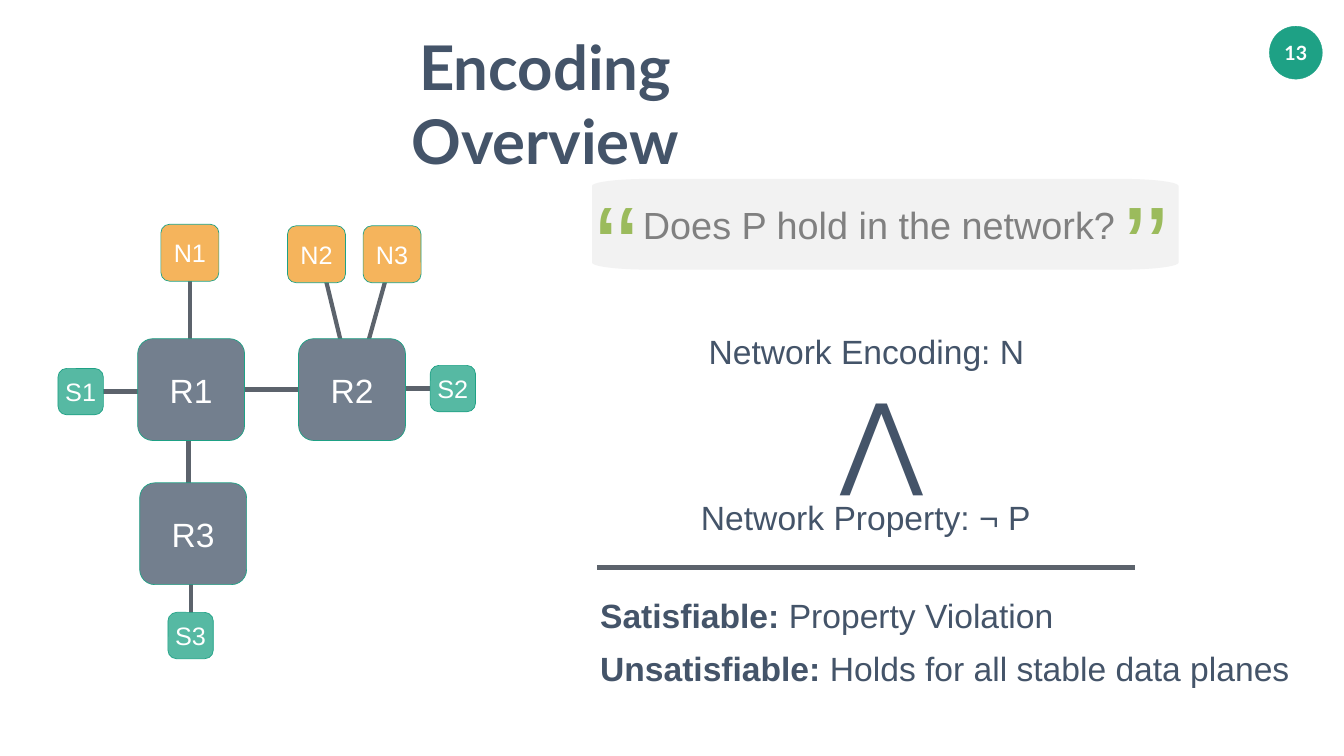
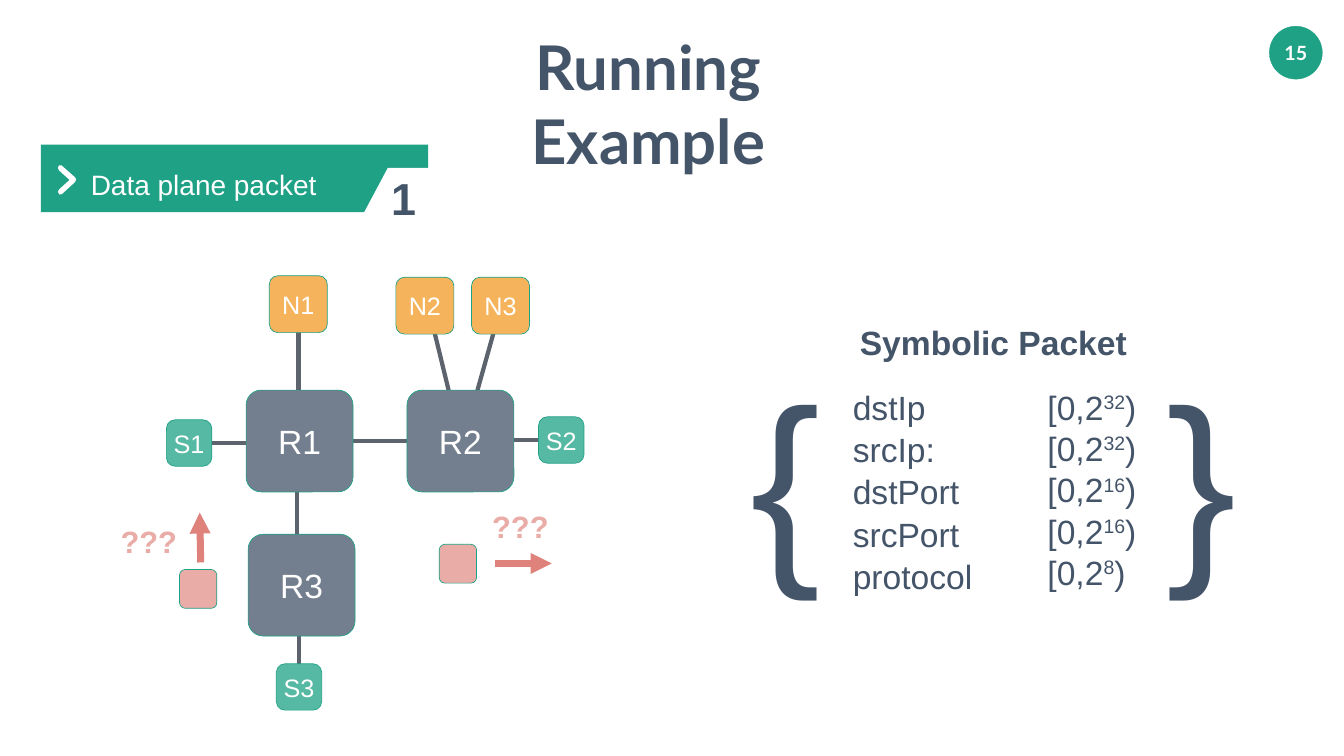
import math

from lxml import etree
from pptx import Presentation
from pptx.dml.color import RGBColor
from pptx.enum import shapes, text
from pptx.oxml import ns
from pptx.util import Inches, Pt

GREEN = RGBColor(0x1E, 0xA1, 0x85)
TEAL = RGBColor(0x56, 0xB9, 0xA3)
ORANGE = RGBColor(0xF5, 0xB4, 0x5C)
SLATE = RGBColor(0x73, 0x7F, 0x8E)
LINK = RGBColor(0x5C, 0x63, 0x6C)
NAVY = RGBColor(0x44, 0x54, 0x69)
GRAY = RGBColor(0x80, 0x80, 0x80)
PALE = RGBColor(0xF2, 0xF2, 0xF2)
LIME = RGBColor(0x9B, 0xBB, 0x5C)
PINK = RGBColor(0xE9, 0xAC, 0xA7)
RED = RGBColor(0xDE, 0x82, 0x7B)
WHITE = RGBColor(0xFF, 0xFF, 0xFF)

CENTER = text.PP_ALIGN.CENTER
MIDDLE = text.MSO_ANCHOR.MIDDLE
TOP = text.MSO_ANCHOR.TOP

ROUTER = dict(size=(2.12, 2.02), corner=0.148, fill=SLATE, font_size=48)
NEIGHBOR = dict(size=(1.15, 1.13), corner=0.152, fill=ORANGE, font_size=36)
SUBNET = dict(size=(0.9, 0.92), corner=0.191, fill=TEAL, font_size=36)
PACKET = dict(size=(0.74, 0.77), corner=0.152, fill=PINK)

NODES = [
    ("S1", 1.15, 7.31, SUBNET), ("S2", 8.53, 7.25, SUBNET), ("S3", 3.33, 12.15, SUBNET),
    ("N1", 3.19, 4.45, NEIGHBOR), ("N2", 5.7, 4.48, NEIGHBOR), ("N3", 7.2, 4.48, NEIGHBOR),
    ("R1", 2.73, 6.72, ROUTER), ("R2", 5.92, 6.72, ROUTER), ("R3", 2.77, 9.58, ROUTER),
]
LINKS = [
    (3.74, 10.36, 3.74, 7.57), (6.26, 7.73, 3.81, 7.73), (3.45, 7.77, 1.64, 7.77),
    (3.78, 12.24, 3.78, 11.08), (9.16, 7.71, 7.35, 7.71), (3.77, 7.68, 3.77, 4.89),
    (6.94, 7.52, 6.28, 4.81), (7.08, 7.57, 7.84, 4.86),
]
CHEVRON = [
    (1.17, 3.76), (1.38, 3.57), (1.17, 3.38), (1.15, 3.33), (1.17, 3.28), (1.22, 3.28),
    (1.49, 3.52), (1.51, 3.56), (1.49, 3.61), (1.23, 3.85), (1.18, 3.86), (1.15, 3.81),
]


def write(frame, content, size=48, color=NAVY, font="Arial", bold=False, align=None,
          anchor=TOP, inset=0.05, wrap=False, grow=True, line_spacing=None, spacing=None):
    frame.word_wrap = wrap
    frame.auto_size = (text.MSO_AUTO_SIZE.SHAPE_TO_FIT_TEXT if grow
                       else text.MSO_AUTO_SIZE.NONE)
    frame.vertical_anchor = anchor
    frame.margin_left = frame.margin_right = Inches(inset)
    frame.margin_top = frame.margin_bottom = Inches(inset)
    paragraph = frame.paragraphs[0]
    paragraph.alignment = align
    paragraph.line_spacing = line_spacing
    runs = [(content, {})] if isinstance(content, str) else content
    for words, extra in runs:
        run = paragraph.add_run()
        run.text = words
        run.font.name = font
        run.font.size = Pt(size)
        run.font.bold = extra.get("bold", bold)
        run.font.color.rgb = color
        properties = run.font._element
        if "raised" in extra:
            properties.set("baseline", str(extra["raised"] * 1000))
        if spacing:
            properties.set("spc", str(spacing * 100))


class Deck:
    def __init__(self):
        self.presentation = Presentation()
        self.presentation.slide_width = Inches(26.65)
        self.presentation.slide_height = Inches(15)
        self.slide = None

    def start(self, title, number, left, width, right_inset, wrap):
        layout = self.presentation.slide_layouts[5]
        self.slide = self.presentation.slides.add_slide(layout)
        self.canvas = self.slide.shapes
        heading = self.canvas.title
        heading.left, heading.top = Inches(left), Inches(0.53)
        heading.width, heading.height = Inches(width), Inches(1.58)
        write(heading.text_frame, title, size=88, font="Lato", bold=True, align=CENTER,
              wrap=wrap, grow=False)
        heading.text_frame.margin_right = Inches(right_inset)
        badge = self.shape(shapes.MSO_SHAPE.OVAL, 25.17, 0.52, 1.05, 1.05, GREEN, 0.5)
        write(badge.text_frame, number, size=28, color=WHITE, font="Lato", bold=True,
              align=CENTER, anchor=MIDDLE, grow=False)

    def paint(self, shape, fill, outline=None):
        shape.shadow.inherit = False
        shape.fill.solid()
        shape.fill.fore_color.rgb = fill
        if outline:
            shape.line.color.rgb = GREEN
            shape.line.width = Pt(outline)
        else:
            shape.line.fill.background()
        return shape

    def shape(self, kind, x, y, width, height, fill, outline=None):
        added = self.canvas.add_shape(kind, Inches(x), Inches(y), Inches(width),
                                      Inches(height))
        return self.paint(added, fill, outline)

    def outline(self, points, fill):
        first, *rest = [(Inches(x), Inches(y)) for x, y in points]
        builder = self.canvas.build_freeform(*first)
        builder.add_line_segments(rest, close=True)
        return self.paint(builder.convert_to_shape(), fill)

    def label(self, content, x, y, width, height=0.91, **style):
        box = self.canvas.add_textbox(Inches(x), Inches(y), Inches(width), Inches(height))
        write(box.text_frame, content, **style)

    def node(self, name, x, y, size, corner, fill, font_size=36):
        block = self.shape(shapes.MSO_SHAPE.ROUNDED_RECTANGLE, x, y, *size, fill, 1)
        block.adjustments[0] = corner
        if name:
            write(block.text_frame, name, size=font_size, color=WHITE, align=CENTER,
                  anchor=MIDDLE, grow=False)

    def line(self, x1, y1, x2, y2, color=LINK, width=6, arrow=False):
        link = self.canvas.add_connector(shapes.MSO_CONNECTOR.STRAIGHT, Inches(x1),
                                         Inches(y1), Inches(x2), Inches(y2))
        link.line.color.rgb = color
        link.line.width = Pt(width)
        properties = link._element.spPr
        if arrow:
            stroke = properties.find(ns.qn("a:ln"))
            etree.SubElement(stroke, ns.qn("a:tailEnd"), type="triangle")
        etree.SubElement(properties, ns.qn("a:effectLst"))

    def network(self, dx=0, dy=0):
        self.canvas = self.slide.shapes.add_group_shape().shapes
        for x1, y1, x2, y2 in LINKS:
            self.line(x1 + dx, y1 + dy, x2 + dx, y2 + dy)
        for name, x, y, style in NODES:
            self.node(name, x + dx, y + dy, **style)
        self.canvas = self.slide.shapes


def rounded_outline(left, top, width, height, radius_x, radius_y, steps=10):
    right, bottom = left + width, top + height
    corners = [
        (right - radius_x, bottom - radius_y), (left + radius_x, bottom - radius_y),
        (left + radius_x, top + radius_y), (right - radius_x, top + radius_y),
    ]
    points = []
    for quarter, (x, y) in enumerate(corners):
        for step in range(steps + 1):
            angle = (quarter + step / steps) * math.pi / 2
            points.append((x + radius_x * math.cos(angle), y + radius_y * math.sin(angle)))
    return points


def encoding_overview(deck):
    deck.start("Encoding Overview", "13", 8.09, 10.49, right_inset=5.1, wrap=True)
    deck.network()
    deck.outline(rounded_outline(11.74, 3.55, 11.63, 1.8, 1.12, 0.14), PALE)
    deck.label("Does P hold in the network?", 12.65, 3.9, 9.63, 1.1, size=54, color=GRAY,
               inset=0.1, wrap=True)
    for mark, x in (("‘‘", 11.25), ("’’", 21.75)):
        deck.label(mark, x, 3.32, 1.96, 2.76, size=166, color=LIME, align=CENTER,
                   inset=0.1, wrap=True, spacing=-3)
    deck.label("Network Encoding: N", 14, 6.51, 6.56)
    deck.label("Network Property: ¬ P", 13.85, 9.81, 6.9)
    deck.label("⋀", 16.62, 7.41, 1.46, 1.93, size=144)
    deck.line(22.5, 11.26, 11.83, 11.26)
    outcomes = [
        ("Satisfiable: ", "Property Violation", 11.75, 9.2),
        ("Unsatisfiable: ", "Holds for all stable data planes", 12.8, 13.93),
    ]
    for result, meaning, y, width in outcomes:
        deck.label([(result, {"bold": True}), (meaning, {})], 11.85, y, width)


def running_example(deck):
    deck.start("Running Example", "15", 8.11, 10.44, right_inset=1, wrap=False)
    deck.shape(shapes.MSO_SHAPE.RECTANGLE, 0.81, 2.87, 7.68, 1.34, GREEN)
    deck.outline([(8.51, 3.33), (7.69, 3.33), (7.19, 4.27), (8.51, 4.27)], WHITE)
    deck.outline(CHEVRON, WHITE)
    deck.label("Data plane packet", 1.68, 3.08, 5.93, 1.08, size=40, color=WHITE,
               anchor=MIDDLE, inset=0.12, wrap=True, grow=False, line_spacing=1.1)
    deck.label("1", 7.66, 3.28, 0.65, 1.08, size=64, bold=True,
               align=text.PP_ALIGN.RIGHT, inset=0.1, wrap=True, grow=False)

    deck.label("Symbolic Packet", 17, 6.33, 5.41, bold=True)
    for brace, x in (("{", 14.83), ("}", 23.08)):
        deck.label(brace, x, 6.84, 1.51, 5.1, size=300)
    fields = [("dstIp", 1.56, "32"), ("srcIp:", 1.74, "32"), ("dstPort", 2.23, "16"),
              ("srcPort", 2.23, "16"), ("protocol", 2.49, "8")]
    for row, (field, width, bits) in enumerate(fields):
        deck.label(field, 16.86, 7.62 + 0.84 * row, width)
        deck.label([("[0,2", {}), (bits, {"raised": 32}), (")", {})],
                   20.72, 7.62 + 0.82 * row, 1.46 + 0.24 * len(bits))

    deck.network(2.15, 1.02)
    packets = [
        ((8.71, 10.8), (9.82, 11.18, 10.94, 11.18), (9.71, 10.02)),
        ((3.56, 11.3), (3.98, 11.16, 3.96, 10.17), (2.34, 10.32)),
    ]
    for place, direction, question in packets:
        deck.node("", *place, **PACKET)
        deck.line(*direction, color=RED, width=10, arrow=True)
        deck.label("???", *question, 1.23, 0.84, size=44, color=PINK, bold=True)


def main():
    deck = Deck()
    encoding_overview(deck)
    running_example(deck)
    deck.presentation.save("out.pptx")


if __name__ == "__main__":
    main()
